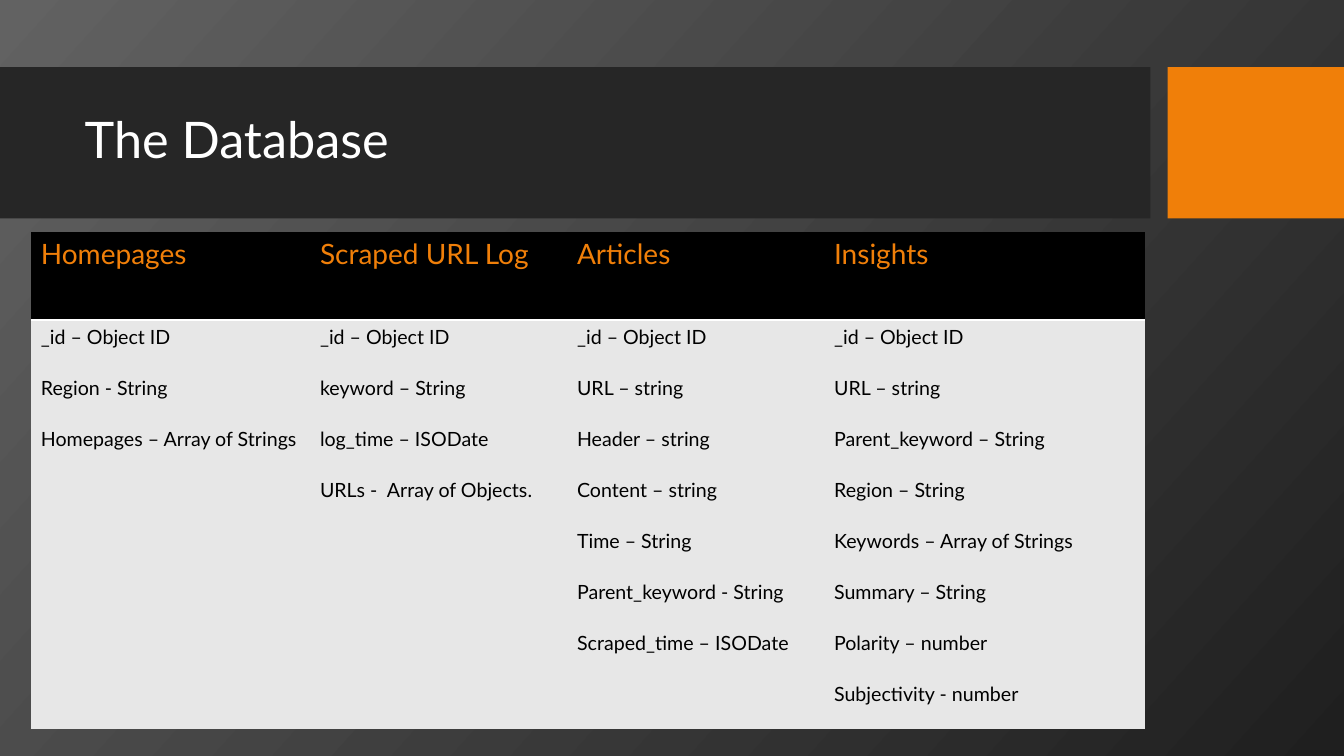
from itertools import zip_longest

from lxml import etree
from pptx import Presentation
from pptx.dml.color import RGBColor
from pptx.enum.shapes import MSO_SHAPE
from pptx.enum.text import MSO_ANCHOR, PP_ALIGN
from pptx.oxml.ns import qn
from pptx.util import Pt

RECT = MSO_SHAPE.RECTANGLE
MIDDLE = MSO_ANCHOR.MIDDLE
LEFT = PP_ALIGN.LEFT

FONT = "Lato"
NO_STYLE = "{2D5ABB26-0587-4C30-8999-92F81FD0307C}"
COLORS = {
    "light": "626262", "dark": "1F1F1F", "band": "262626", "accent": "F07F09",
    "white": "FFFFFF", "black": "000000", "cell": "E7E7E7",
}
COLLECTIONS = {
    "Homepages": ["_id – Object ID", "Region - String", "Homepages – Array of Strings"],
    "Scraped URL Log": ["_id – Object ID", "keyword – String", "log_time – ISODate",
                        "URLs -  Array of Objects."],
    "Articles": ["_id – Object ID", "URL – string", "Header – string", "Content – string",
                 "Time – String", "Parent_keyword - String", "Scraped_time – ISODate"],
    "Insights": ["_id – Object ID", "URL – string", "Parent_keyword – String",
                 "Region – String", "Keywords – Array of Strings", "Summary – String",
                 "Polarity – number", "Subjectivity - number"],
}
COL_WIDTHS = [199.4, 183.6, 183.6, 229]
HEADER_HEIGHT = 63


def rgb(name):
    return RGBColor.from_string(COLORS[name])


def set_font(p, size, color):
    p.font.name = FONT
    p.font.size = Pt(size)
    p.font.color.rgb = rgb(color)


def paint_background(s):
    fill = s.background.fill
    fill.gradient()
    fill.gradient_angle = 318
    for stop, color in zip(fill.gradient_stops, ("light", "dark")):
        stop.color.rgb = rgb(color)


def add_title_band(s, text, x, y, w, h):
    title = s.shapes.title
    # Dark band and accent block, both behind the title
    accent_w, gap = 126, 12.3
    band_w = w - accent_w - gap
    for left, width, color in ((x, band_w, "band"), (x + w - accent_w, accent_w, "accent")):
        sp = s.shapes.add_shape(RECT, Pt(left), Pt(y), Pt(width), Pt(h))
        sp.shadow.inherit = False
        sp.fill.solid()
        sp.fill.fore_color.rgb = rgb(color)
        sp.line.fill.background()
        title.element.addprevious(sp.element)

    # Title text
    title.left, title.top = Pt(x + 53.3), Pt(y + 10.8)
    title.width, title.height = Pt(band_w - 65), Pt(85)
    tf = title.text_frame
    tf.text = text
    tf.vertical_anchor = MIDDLE
    p = tf.paragraphs[0]
    p.alignment = LEFT
    p.line_spacing = 0.9
    set_font(p, 36, "white")


def add_bottom_border(cell, color, width):
    tc_pr = cell._tc.get_or_add_tcPr()
    ln = etree.Element(qn("a:lnB"), w=str(Pt(width)))
    fill = etree.SubElement(ln, qn("a:solidFill"))
    etree.SubElement(fill, qn("a:srgbClr"), val=COLORS[color])
    tc_pr.insert(0, ln)


def add_collections_table(s, x, y, w, h):
    rows = [list(COLLECTIONS), *zip_longest(*COLLECTIONS.values(), fillvalue="")]
    frame = s.shapes.add_table(len(rows), len(COL_WIDTHS), Pt(x), Pt(y), Pt(w), Pt(h))
    table = frame.table
    table.horz_banding = False
    next(frame.element.iter(qn("a:tableStyleId"))).text = NO_STYLE

    for col, width in zip(table.columns, COL_WIDTHS):
        col.width = Pt(width)
    field_height = (h - HEADER_HEIGHT) / (len(rows) - 1)

    for i, texts in enumerate(rows):
        header = i == 0
        table.rows[i].height = Pt(HEADER_HEIGHT if header else field_height)
        for cell, text in zip(table.rows[i].cells, texts):
            cell.fill.solid()
            cell.fill.fore_color.rgb = rgb("black" if header else "cell")
            cell.text = text
            p = cell.text_frame.paragraphs[0]
            if header:
                set_font(p, 20, "accent")
                add_bottom_border(cell, "white", 2)
            else:
                set_font(p, 14, "black")


def main():
    prs = Presentation()
    prs.slide_width, prs.slide_height = Pt(960), Pt(540)
    s = prs.slides.add_slide(prs.slide_layouts[5])
    paint_background(s)
    add_title_band(s, "The Database", 0, 48, 960, 108)
    add_collections_table(s, 22, 165.6, sum(COL_WIDTHS), 355)
    prs.save("out.pptx")


if __name__ == "__main__":
    main()
